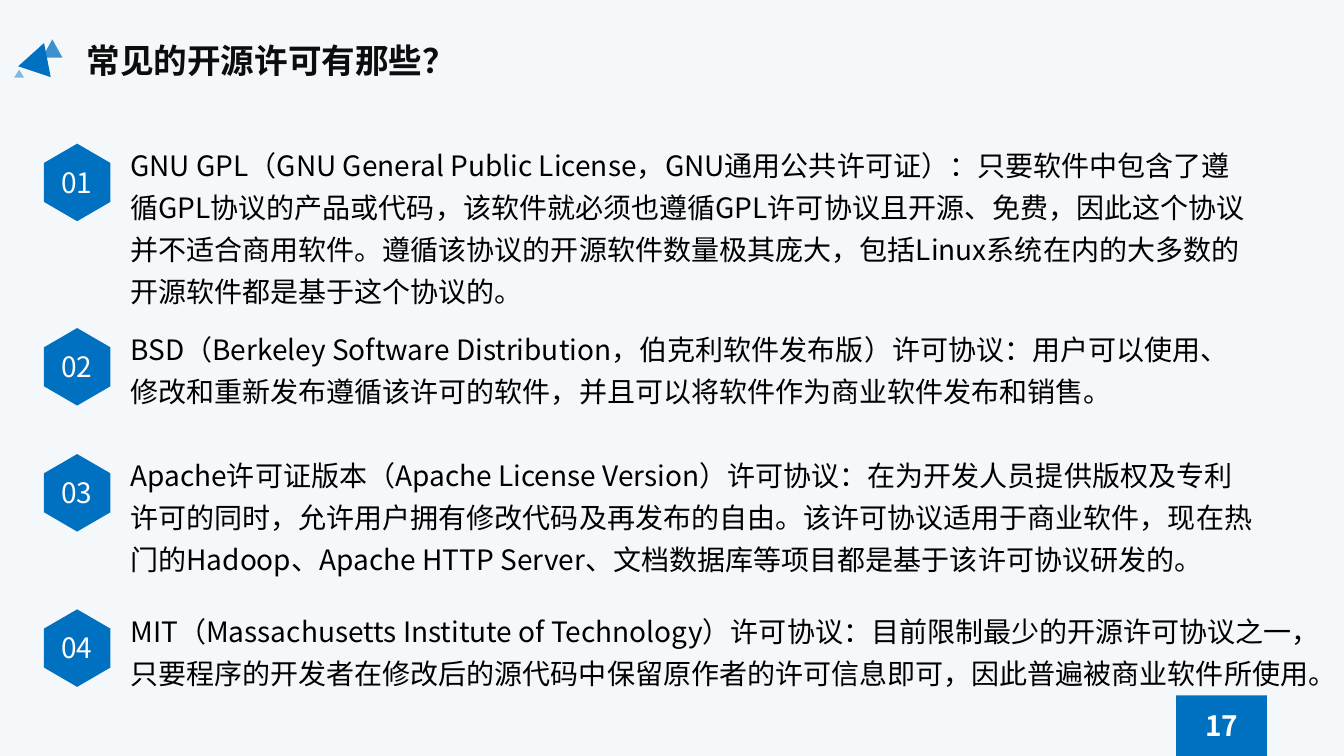
"""Build the slide on common open source licences."""
from dataclasses import dataclass

from lxml.etree import SubElement
from pptx import Presentation
from pptx.dml.color import RGBColor
from pptx.enum.shapes import MSO_SHAPE as Preset
from pptx.enum.text import MSO_AUTO_SIZE as AutoSize, PP_ALIGN as Align
from pptx.oxml.ns import qn
from pptx.util import Pt


@dataclass(frozen=True)
class Theme:
    """Colours, font and type sizes of the slide."""
    page: RGBColor = RGBColor(0xF5, 0xF8, 0xFB)
    accent: RGBColor = RGBColor(0x00, 0x70, 0xC0)
    heading: RGBColor = RGBColor(0x0D, 0x0D, 0x0D)
    body: RGBColor = RGBColor(0x00, 0x00, 0x00)
    light: RGBColor = RGBColor(0xFF, 0xFF, 0xFF)
    font: str = "Noto Sans CJK SC"
    title_size: int = 24
    text_size: int = 20


THEME = Theme()

TRIANGLES = [
    ((30.2, 28.1, 14.4, 13), 0, 75),
    ((15.8, 30.2, 24.5, 21.6), 18.5, 100),
    ((10.1, 49.7, 7.2, 5.8), 0, 47),
]

LICENCES = [
    (106.6, 819.4, 4,
     "GNU GPL（GNU General Public License，GNU通用公共许可证）：只要软件中包含了"
     "遵循GPL协议的产品或代码，该软件就必须也遵循GPL许可协议且开源、免费，因此这个"
     "协议并不适合商用软件。遵循该协议的开源软件数量极其庞大，包括Linux系统在内的大多"
     "数的开源软件都是基于这个协议的。"),
    (238.3, 810, 2,
     "BSD（Berkeley Software Distribution，伯克利软件发布版）许可协议：用户可以使用、"
     "修改和重新发布遵循该许可的软件，并且可以将软件作为商业软件发布和销售。"),
    (328.3, 819.4, 3,
     "Apache许可证版本（Apache License Version）许可协议：在为开发人员提供版权及专利"
     "许可的同时，允许用户拥有修改代码及再发布的自由。该许可协议适用于商业软件，现在热"
     "门的Hadoop、Apache HTTP Server、文档数据库等项目都是基于该许可协议研发的。"),
    (439.2, 859, 2,
     "MIT（Massachusetts Institute of Technology）许可协议：目前限制最少的开源许可协议之一，"
     "只要程序的开发者在修改后的源代码中保留原作者的许可信息即可，因此普遍被商业软件所使用。"),
]


def apply_format(target, values):
    """Set each attribute named in a dict of format values."""
    for name, value in values.items():
        setattr(target, name, value)


def add_text(shapes, place, text, color, size=THEME.text_size, bold=False,
             **paragraph_format):
    """Add a wrapping text box that holds one formatted paragraph."""
    box = shapes.add_textbox(*map(Pt, place))
    apply_format(box.text_frame,
                 {"word_wrap": True, "auto_size": AutoSize.SHAPE_TO_FIT_TEXT})
    para = box.text_frame.paragraphs[0]
    apply_format(para, paragraph_format)
    span = para.add_run()
    span.text = text
    apply_format(span.font, {"name": THEME.font, "size": Pt(size), "bold": bold})
    span.font.color.rgb = color
    SubElement(span.font._element, qn("a:ea"), typeface=THEME.font)


def add_accent(shapes, preset, place, rotation=0, opacity=100):
    """Add an accent-coloured preset shape without an outline."""
    shape = shapes.add_shape(preset, *map(Pt, place))
    shape.shadow.inherit = False
    shape.rotation = rotation
    shape.fill.solid()
    shape.fill.fore_color.rgb = THEME.accent
    shape.line.fill.background()
    if opacity < 100:
        color = shape.fill._xPr.find(".//" + qn("a:srgbClr"))
        SubElement(color, qn("a:alpha"), val=str(opacity * 1000))
    return shape


def add_emblem(page):
    """Add the group of triangles beside the title."""
    group = page.shapes.add_group_shape()
    for place, rotation, opacity in TRIANGLES:
        add_accent(group.shapes, Preset.ISOSCELES_TRIANGLE, place, rotation, opacity)


def add_licence(page, number, top, width, lines, text):
    """Add a numbered hexagon and the licence description beside it."""
    group = page.shapes.add_group_shape()
    hexagon = add_accent(group.shapes, Preset.HEXAGON, (27.4, top, 55.4, 47.5), 90)
    hexagon.adjustments[0] = 0.29
    add_text(group.shapes, (32.7, top + 7.9, 44.6, 31.5), f"{number:02}",
             THEME.light, alignment=Align.CENTER)
    add_text(page.shapes, (86, top - 10.1, width, 7.4 + 30.2 * lines), text,
             THEME.body, line_spacing=1.25)


def add_page_number(page, number):
    """Add the page number on its block at the bottom edge."""
    group = page.shapes.add_group_shape()
    add_accent(group.shapes, Preset.RECTANGLE, (840.2, 496.8, 64.8, 43.2))
    add_text(group.shapes, (849.6, 502.6, 46.1, 31.5), str(number),
             THEME.light, bold=True, alignment=Align.CENTER)


def main():
    """Compose the slide and save the deck."""
    deck = Presentation()
    apply_format(deck, {"slide_width": Pt(960), "slide_height": Pt(540)})
    page = deck.slides.add_slide(deck.slide_layouts[6])
    page.background.fill.solid()
    page.background.fill.fore_color.rgb = THEME.page
    add_text(page.shapes, (54.7, 25.2, 411.1, 36), "常见的开源许可有那些？",
             THEME.heading, THEME.title_size, bold=True)
    add_emblem(page)
    for number, licence in enumerate(LICENCES, 1):
        add_licence(page, number, *licence)
    add_page_number(page, 17)
    deck.save("out.pptx")


if __name__ == "__main__":
    main()
